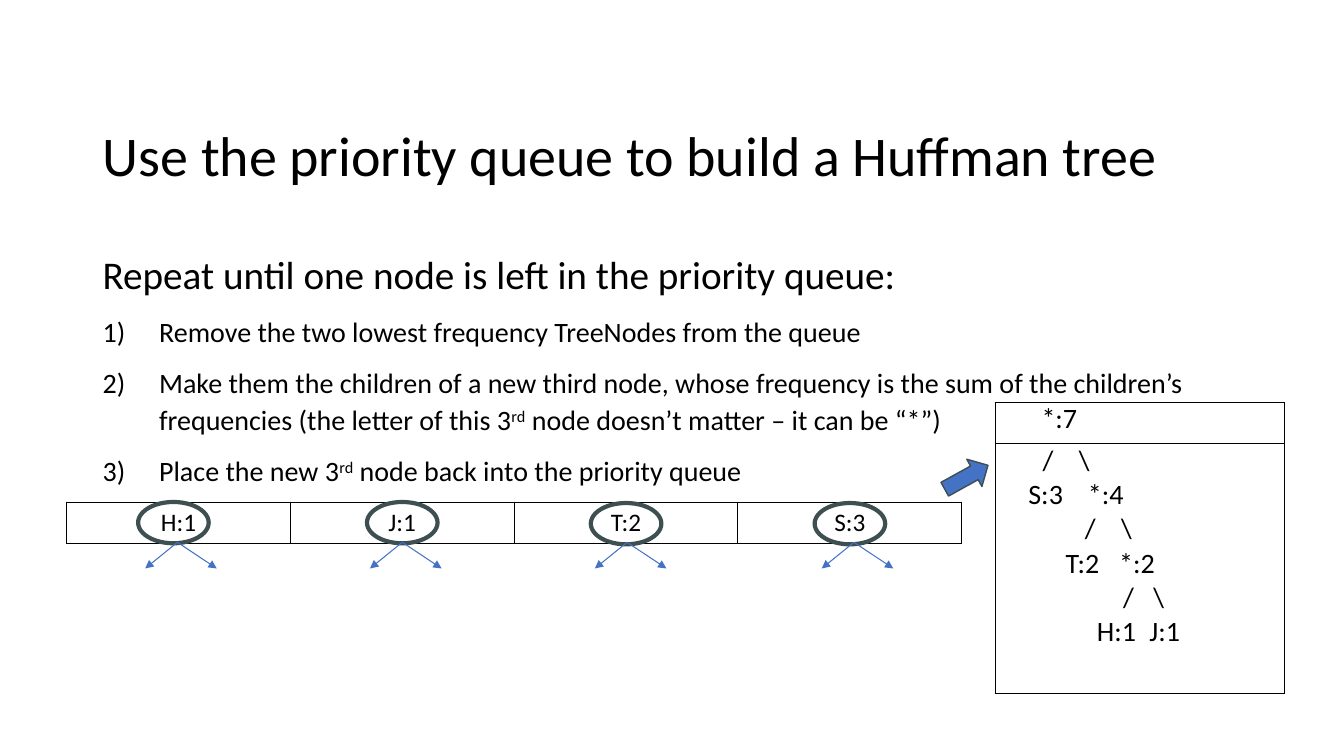
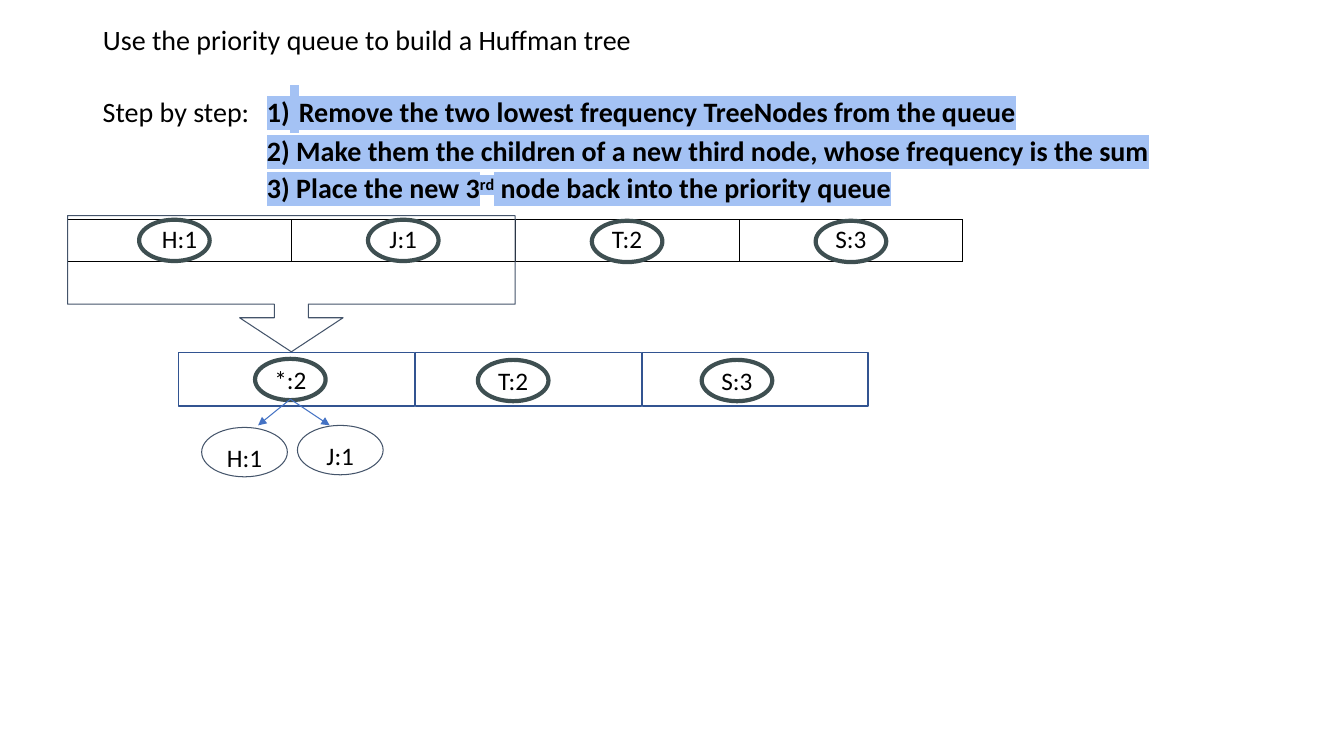
import pptx
import pptx.util
import pptx.oxml
import pptx.oxml.ns
import pptx.dml.color
import pptx.enum.shapes
import pptx.enum.text
import lxml.etree

Inches = pptx.util.Inches
Pt = pptx.util.Pt
SHAPE = pptx.enum.shapes.MSO_SHAPE
ALIGN = pptx.enum.text.PP_ALIGN
ANCHOR = pptx.enum.text.MSO_ANCHOR
qn = pptx.oxml.ns.qn

COLOURS = {
    "text": "000000",
    "node": "3E4F51",
    "arrow": "4472C4",
    "outline": "44546A",
    "box": "325491",
    "highlight": "A4C2F4",
}
FONT = "Calibri"
TITLE = "Use the priority queue to build a Huffman tree"
NODE_W, NODE_H = 0.7, 0.41
COL_W = 2.22
QUEUE = ["H:1", "J:1", "T:2", "S:3"]
# Node rings, measured from the queue's top left corner
RINGS = [(0.71, 0), (2.98, 0), (5.2, 0.01), (7.42, 0.01)]


def rgb(name):
    return pptx.dml.color.RGBColor.from_string(COLOURS[name])


# --- Text ---
def style(p, size, align=ALIGN.LEFT, spacing=None):
    p.font.name, p.font.size = FONT, Pt(size)
    p.font.color.rgb = rgb("text")
    p.alignment = align
    if spacing:
        p.line_spacing = spacing


def indent(p, left, first=0):
    pPr = p._p.get_or_add_pPr()
    pPr.set("marL", str(Inches(left)))
    pPr.set("indent", str(Inches(first)))


def number(p):
    indent(p, 0.56, -0.56)
    bullet = lxml.etree.SubElement(p._p.pPr, qn("a:buAutoNum"), type="arabicParenR")
    # Bullets stand before the default run properties
    p._p.pPr.find(qn("a:defRPr")).addprevious(bullet)


def add_run(p, text, raised=False, marked=False, size=None):
    r = p.add_run()
    r.text = text
    rPr = r._r.get_or_add_rPr()
    if size:
        r.font.size = Pt(size)
    if raised:
        rPr.set("baseline", "30000")
    if marked:
        r.font.bold = True
        hl = lxml.etree.SubElement(rPr, qn("a:highlight"))
        lxml.etree.SubElement(hl, qn("a:srgbClr"), val=COLOURS["highlight"])


def add_ordinal(p, before, after, marked=False):
    add_run(p, before, marked=marked)
    add_run(p, "rd", raised=True, marked=marked)
    add_run(p, after, marked=marked)


def add_body(s, x, y, w, h):
    tf = s.shapes.add_textbox(Inches(x), Inches(y), Inches(w), Inches(h)).text_frame
    tf.word_wrap = True
    return tf


def add_slide(prs, x, y, w, h, size):
    s = prs.slides.add_slide(prs.slide_layouts[5])
    sp = s.shapes.title
    sp.left, sp.top, sp.width, sp.height = map(Inches, (x, y, w, h))
    tf = sp.text_frame
    tf.text = TITLE
    tf.auto_size = pptx.enum.text.MSO_AUTO_SIZE.NONE
    tf.vertical_anchor = ANCHOR.MIDDLE
    style(tf.paragraphs[0], size)
    return s


# --- Shapes ---
def add_outline(s, kind, x, y, w, h, line, width, fill=None):
    sp = s.shapes.add_shape(kind, Inches(x), Inches(y), Inches(w), Inches(h))
    sp.shadow.inherit = False
    if fill:
        sp.fill.solid()
        sp.fill.fore_color.rgb = rgb(fill)
    else:
        sp.fill.background()
    sp.line.color.rgb = rgb(line)
    sp.line.width = Pt(width)
    return sp


def add_label(sp, text, drop=0):
    tf = sp.text_frame
    tf.margin_left = tf.margin_right = tf.margin_bottom = 0
    tf.margin_top = Inches(2 * drop)
    tf.word_wrap = False
    tf.vertical_anchor = ANCHOR.MIDDLE
    tf.text = text
    style(tf.paragraphs[0], 18, ALIGN.CENTER)


def add_ring(s, x, y):
    return add_outline(s, SHAPE.OVAL, x, y, NODE_W, NODE_H, "node", 3)


def add_child_arrows(s, x, y):
    for dx in (-0.32, 0.39):
        c = s.shapes.add_connector(
            pptx.enum.shapes.MSO_CONNECTOR.STRAIGHT,
            Inches(x), Inches(y), Inches(x + dx), Inches(y + 0.26))
        c.line.color.rgb = rgb("arrow")
        c.line.width = Pt(0.75)
        lxml.etree.SubElement(c.line._get_or_add_ln(), qn("a:tailEnd"), type="triangle")
        lxml.etree.SubElement(c._element.spPr, qn("a:effectLst"))


# --- Tables ---
def add_grid(s, x, y, col_w, cols, row_heights):
    table = s.shapes.add_table(len(row_heights), cols, Inches(x), Inches(y),
                               Inches(col_w * cols), Inches(sum(row_heights))).table
    table.first_row = table.horz_banding = False
    for row, height in zip(table.rows, row_heights):
        row.height = Inches(height)
    for cell in table.iter_cells():
        tcPr = cell._tc.get_or_add_tcPr()
        for side in ("a:lnL", "a:lnR", "a:lnT", "a:lnB"):
            ln = lxml.etree.SubElement(tcPr, qn(side), w=str(Pt(0.75)))
            fill = lxml.etree.SubElement(ln, qn("a:solidFill"))
            lxml.etree.SubElement(fill, qn("a:srgbClr"), val=COLOURS["text"])
        cell.fill.background()
    return table


def add_queue(s, x, y):
    table = add_grid(s, x, y, COL_W, len(QUEUE), [NODE_H])
    for cell, text in zip(table.iter_cells(), QUEUE):
        cell.text = text
        style(cell.text_frame.paragraphs[0], 18, ALIGN.CENTER)
    for dx, dy in RINGS:
        add_ring(s, x + dx, y + dy)


def add_tree(s, x, y):
    table = add_grid(s, x, y, 2.87, 1, [0.41, 2.48])
    # Left and right text of each level, with their indents
    levels = [
        ("/", 0.4, "\\", 0.76),
        ("S:3", 0.26, "*:4", 0.85),
        ("/", 0.82, "\\", 1.18),
        ("T:2", 0.63, "*:2", 1.16),
        ("/", 1.2, "\\", 1.5),
        ("H:1", 0.94, "J:1", 1.46),
    ]
    for cell in table.iter_cells():
        cell.margin_left = cell.margin_right = Inches(0.07)
        cell.margin_top = cell.margin_bottom = 0
    root = table.cell(0, 0).text_frame.paragraphs[0]
    add_run(root, "*:7")
    style(root, 20)
    indent(root, 0.39)
    tf = table.cell(1, 0).text_frame
    for i, (left, left_x, right, right_x) in enumerate(levels):
        p = tf.add_paragraph() if i else tf.paragraphs[0]
        add_run(p, f"{left}\t{right}")
        style(p, 20)
        indent(p, right_x, left_x - right_x)


# --- Slides ---
def build_rule_slide(prs):
    s = add_slide(prs, 0.92, 0.8, 11.5, 1.45, 40)
    tf = add_body(s, 0.92, 2.39, 11.5, 4.18)
    p = tf.paragraphs[0]
    add_run(p, "Repeat until one node is left in the priority queue:")
    style(p, 28, spacing=1.1)
    steps = [tf.add_paragraph() for _ in range(3)]
    for p in steps:
        style(p, 20, spacing=1.1)
        p.space_before = Pt(10)
        number(p)
    add_run(steps[0], "Remove the two lowest frequency TreeNodes from the queue")
    add_ordinal(steps[1],
                "Make them the children of a new third node, whose frequency is the sum "
                "of the children’s frequencies (the letter of this 3",
                " node doesn’t matter – it can be “*”)")
    add_ordinal(steps[2], "Place the new 3", " node back into the priority queue")

    add_queue(s, 0.66, 4.98)
    for x in (1.76, 3.99, 6.22, 8.47):
        add_child_arrows(s, x, 5.38)
    add_tree(s, 9.87, 3.99)
    sp = add_outline(s, SHAPE.RIGHT_ARROW, 9.34, 4.58, 0.49, 0.31, "node", 1, "arrow")
    sp.rotation = 331


def build_step_slide(prs):
    s = add_slide(prs, 0.92, 0, 10.23, 0.77, 20)
    tf = add_body(s, 0.92, 0.73, 11.5, 1.35)
    lines = [tf.paragraphs[0], tf.add_paragraph(), tf.add_paragraph()]
    for p, first in zip(lines, (-1.63, 0, 0)):
        style(p, 20, spacing=1.1)
        indent(p, 1.63, first)
    add_run(lines[0], "Step by step:\t")
    add_run(lines[0], "1)", marked=True)
    add_run(lines[0], " ", marked=True, size=28)
    add_run(lines[0], "Remove the two lowest frequency TreeNodes from the queue", marked=True)
    add_run(lines[1], "2) Make them the children of a new third node, "
                      "whose frequency is the sum", marked=True)
    add_ordinal(lines[2], "3) Place the new 3", " node back into the priority queue", True)

    # First two nodes merge into one
    add_queue(s, 0.67, 2.18)
    sp = add_outline(s, SHAPE.DOWN_ARROW_CALLOUT, 0.67, 2.14, 2 * COL_W, 1.35, "outline", 0.75)
    for i, value in enumerate((0.25, 0.38, 0.25, 0.65)):
        sp.adjustments[i] = value

    # Queue after the merge
    merged = [("*:2", 1.77, 2.34, 2.53, 3.56),
              ("T:2", 4.12, 2.24, 4.74, 3.57),
              ("S:3", 6.37, 2.24, 6.96, 3.57)]
    for text, box_x, box_w, ring_x, ring_y in merged:
        add_outline(s, SHAPE.RECTANGLE, box_x, 3.5, box_w, 0.53, "box", 1)
        add_label(add_ring(s, ring_x, ring_y), text)
    add_child_arrows(s, 2.88, 3.96)
    for text, x, y in (("H:1", 2, 4.24), ("J:1", 2.95, 4.22)):
        child = add_outline(s, SHAPE.OVAL, x, y, 0.85, 0.49, "outline", 0.75)
        add_label(child, text, drop=0.05)


def main():
    prs = pptx.Presentation()
    prs.slide_width, prs.slide_height = Inches(13.33), Inches(7.5)
    build_rule_slide(prs)
    build_step_slide(prs)
    prs.save("out.pptx")


if __name__ == "__main__":
    main()
